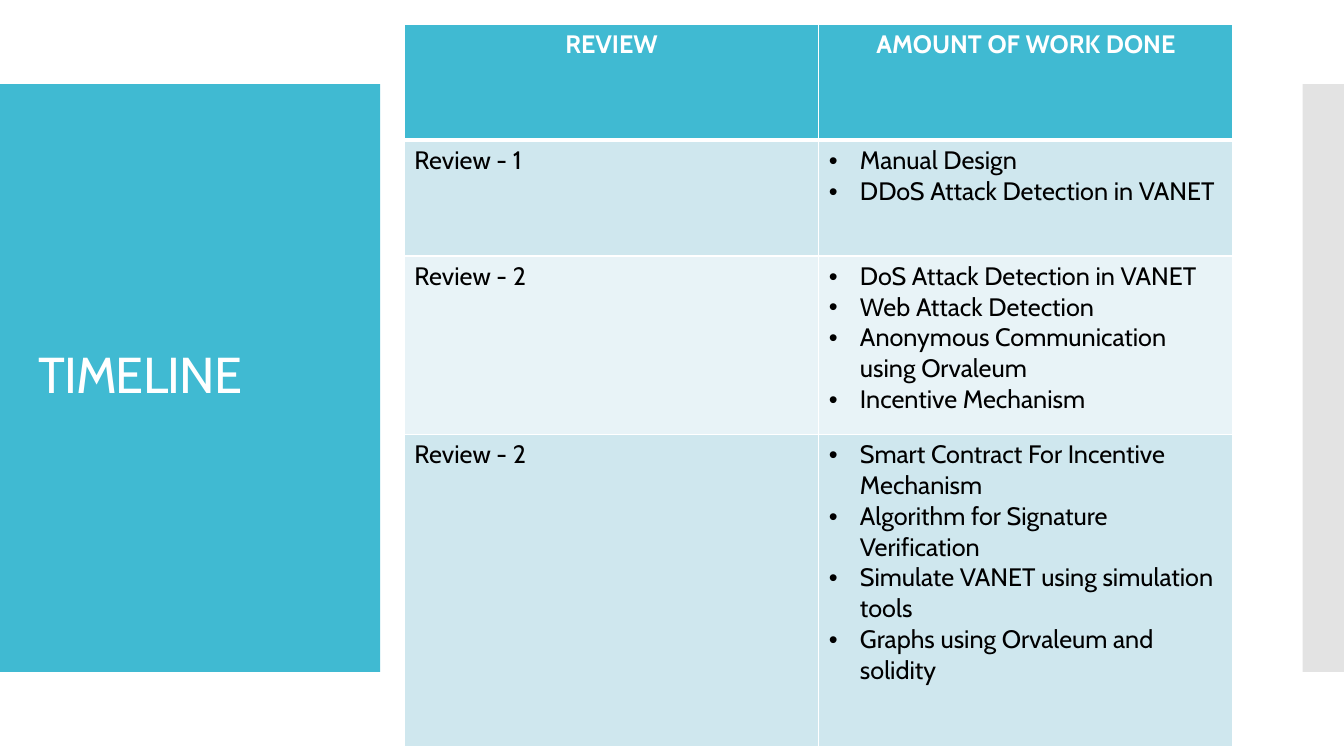
from pptx import Presentation
from pptx.dml.color import RGBColor as Rgb
from pptx.enum.shapes import MSO_SHAPE as Shape
from pptx.enum.text import MSO_ANCHOR as Anchor, PP_ALIGN as Align
from pptx.oxml.ns import qn
from pptx.util import Inches, Pt
from lxml.etree import SubElement as Sub

HUES = {"teal": "40BAD2", "grey": "C8C8C8", "white": "FFFFFF",
        "black": "000000", "band": "CFE7EE", "pale": "E8F3F7"}
FACE = "Cabin"
WIDE, HIGH = Inches(13.33), Inches(7.5)
HEAD = ["REVIEW", "AMOUNT OF WORK DONE"]
PLAN = [
    ("Review - 1", ["Manual Design", "DDoS Attack Detection in VANET"]),
    ("Review - 2", ["DoS Attack Detection in VANET", "Web Attack Detection",
                    "Anonymous Communication using Orvaleum",
                    "Incentive Mechanism"]),
    ("Review - 2", ["Smart Contract For Incentive Mechanism",
                    "Algorithm for Signature Verification",
                    "Simulate VANET using simulation tools",
                    "Graphs using Orvaleum and solidity"]),
]
ROWS = [1.15, 1.15, 1.77, 3.1]
COL = 4.11


def hue(name):
    return Rgb.from_string(HUES[name])


def format_all(item, values):
    for key, value in values.items():
        setattr(item, key, value)


def write(para, text, color, size=18, bold=False):
    run = para.add_run()
    run.text = text
    format_all(run.font, {"name": FACE, "size": Pt(size), "bold": bold})
    run.font.color.rgb = hue(color)
    return run


def add_panel(slide, left, width, color, alpha=None):
    box = slide.shapes.add_shape(Shape.RECTANGLE, left, HIGH // 9,
                                 width, HIGH * 7 // 9)
    box.shadow.inherit = False
    box.fill.solid()
    box.fill.fore_color.rgb = hue(color)
    box.line.fill.background()
    if alpha:
        tint = box._element.spPr.find(qn("a:solidFill"))[0]
        Sub(tint, qn("a:alpha"), val=str(alpha * 1000))


def add_title(slide, text):
    title = slide.shapes.title
    format_all(title, {"left": Inches(0.28), "top": Inches(1.23),
                       "width": Inches(3.22), "height": Inches(5.03)})
    frame = title.text_frame
    format_all(frame, {"word_wrap": True, "vertical_anchor": Anchor.MIDDLE})
    para = frame.paragraphs[0]
    format_all(para, {"alignment": Align.LEFT, "line_spacing": 0.9})
    run = write(para, text, "white", 36)
    run.font._element.set("spc", "-60")
    slide.shapes._spTree.append(title._element)


def add_bullet(para):
    props = para._p.get_or_add_pPr()
    props.set("marL", str(Inches(0.31)))
    props.set("indent", str(Inches(-0.31)))
    Sub(props, qn("a:buFont"), typeface="Arial")
    Sub(props, qn("a:buChar"), char="•")


def style_cell(cell, color, top, base):
    props = cell._tc.get_or_add_tcPr()
    for side, width in {"L": 1, "R": 1, "T": top, "B": base}.items():
        edge = Sub(props, qn("a:ln" + side), w=str(Pt(width)))
        fill = Sub(edge, qn("a:solidFill"))
        Sub(fill, qn("a:srgbClr"), val=HUES["white"])
    cell.fill.solid()
    cell.fill.fore_color.rgb = hue(color)


def fill_cell(cell, lines, color="black", bold=False, align=Align.LEFT,
              dots=False):
    frame = cell.text_frame
    for num, line in enumerate(lines):
        para = frame.add_paragraph() if num else frame.paragraphs[0]
        para.alignment = align
        if dots:
            add_bullet(para)
        write(para, line, color, bold=bold)


def add_plan(slide):
    grid = slide.shapes.add_table(
        len(ROWS), 2, Inches(4.01), Inches(0.24),
        Inches(2 * COL), Inches(sum(ROWS))).table
    for col in grid.columns:
        col.width = Inches(COL)
    for num, tall in enumerate(ROWS):
        grid.rows[num].height = Inches(tall)
        color = "teal" if num == 0 else "band" if num % 2 else "pale"
        for cell in grid.rows[num].cells:
            style_cell(cell, color, 3 if num == 1 else 1,
                       3 if num == 0 else 1)
    for col, text in enumerate(HEAD):
        fill_cell(grid.cell(0, col), [text], "white", True, Align.CENTER)
    for row, (name, tasks) in enumerate(PLAN, 1):
        fill_cell(grid.cell(row, 0), [name])
        fill_cell(grid.cell(row, 1), tasks, dots=True)


def main():
    deck = Presentation()
    format_all(deck, {"slide_width": WIDE, "slide_height": HIGH})
    slide = deck.slides.add_slide(deck.slide_layouts[5])
    strip = Inches(0.41)
    add_panel(slide, 0, Inches(3.77), "teal")
    add_panel(slide, WIDE - strip, strip, "grey", 50)
    add_title(slide, "TIMELINE")
    add_plan(slide)
    deck.save("out.pptx")


if __name__ == "__main__":
    main()
